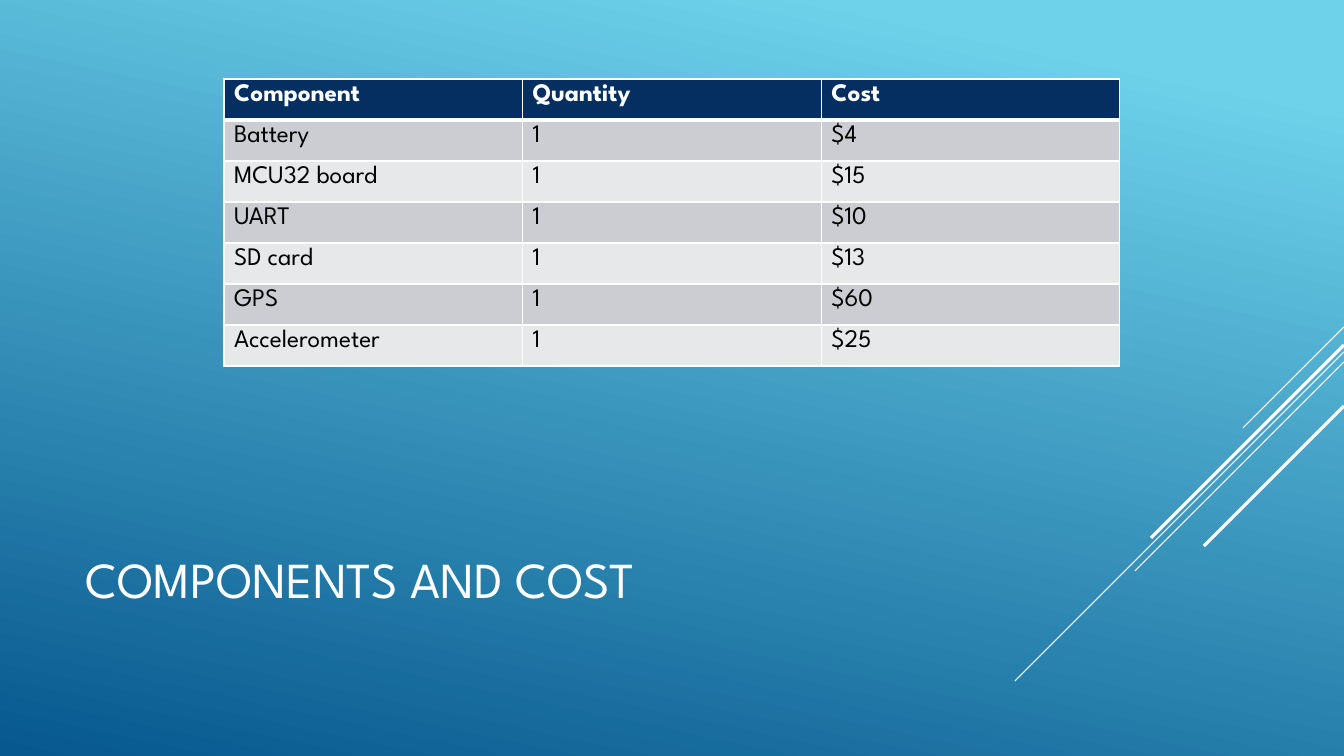
from dataclasses import dataclass

from lxml.etree import SubElement
from pptx import Presentation
from pptx.dml.color import RGBColor
from pptx.enum.shapes import MSO_CONNECTOR as Connector
from pptx.enum.text import MSO_ANCHOR as Anchor
from pptx.oxml import parse_xml
from pptx.oxml.ns import nsdecls, qn
from pptx.util import Pt

SCALE = 12192000 / 1344


@dataclass(frozen=True)
class Theme:
    """Colours, font and sizes of the slide."""
    font: str = "League Spartan"
    title_size: int = 36
    table_size: int = 18
    light: str = "FFFFFF"
    dark: str = "000000"
    header: str = "052F61"
    bands: tuple = ("CCCDD2", "E7E8EA")
    gradient: tuple = ((0.1, "6ED2EB"), (1, "06588E"))
    gradient_angle: int = 258
    thin: float = 0.75
    thick: float = 2.25
    border: int = 1
    header_border: int = 3


THEME = Theme()
COMPONENTS = [
    ("Component", "Quantity", "Cost"),
    ("Battery", "1", "$4"),
    ("MCU32 board", "1", "$15"),
    ("UART", "1", "$10"),
    ("SD card", "1", "$13"),
    ("GPS", "1", "$60"),
    ("Accelerometer", "1", "$25"),
]
STRIPES = [
    (0, 101, THEME.thin),
    (25, 329, THEME.thin),
    (35, 209, THEME.thin),
    (18, 193, THEME.thick),
    (79, 140, THEME.thick),
]


def emu(*pixels):
    """Turn pixel lengths into EMU."""
    return [round(pixel * SCALE) for pixel in pixels]


def write_text(frame, text, *, size, color, bold=False):
    """Write one formatted run into a text frame."""
    run = frame.paragraphs[0].add_run()
    run.text = text
    run.font.name = THEME.font
    run.font.size = Pt(size)
    run.font.bold = bold
    run.font.color.rgb = RGBColor.from_string(color)


def set_borders(cell, **widths):
    """Give a cell its four borders, with widths in points by side."""
    properties = cell._tc.get_or_add_tcPr()
    for index, side in enumerate("LRTB"):
        width = Pt(widths.get(side, THEME.border))
        properties.insert(index, parse_xml(
            f'<a:ln{side} {nsdecls("a")} w="{width}"><a:solidFill>'
            f'<a:srgbClr val="{THEME.light}"/></a:solidFill></a:ln{side}>'))


def paint_background(slide):
    """Fill the slide background with the theme gradient."""
    fill = slide.background.fill
    fill.gradient()
    fill.gradient_angle = THEME.gradient_angle
    for stop, (position, color) in zip(fill.gradient_stops, THEME.gradient):
        stop.position = position
        stop.color.rgb = RGBColor.from_string(color)


def draw_stripes(slide, right, top):
    """Draw diagonal stripes that descend from the right edge."""
    for offset, reach, width in STRIPES:
        start = top + offset
        line = slide.shapes.add_connector(
            Connector.STRAIGHT, *emu(right, start, right - reach, start + reach))
        line.line.color.rgb = RGBColor.from_string(THEME.light)
        line.line.width = Pt(width)
        SubElement(line._element.spPr, qn("a:effectLst"))


def draw_title(slide, text, left, top, width, height):
    """Place the slide title, centred vertically in its box."""
    frame = slide.shapes.add_textbox(*emu(left, top, width, height)).text_frame
    frame.word_wrap = True
    frame.vertical_anchor = Anchor.MIDDLE
    write_text(frame, text, size=THEME.title_size, color=THEME.light)


def draw_table(slide, rows, left, top, width, height):
    """Place a banded table with a dark header row."""
    table = slide.shapes.add_table(
        len(rows), len(rows[0]), *emu(left, top, width, height)).table
    table.first_row = table.horz_banding = False
    for row_index, row in enumerate(rows):
        is_header = row_index == 0
        fill = THEME.header if is_header else THEME.bands[(row_index - 1) % 2]
        widths = {0: {"B": THEME.header_border},
                  1: {"T": THEME.header_border}}.get(row_index, {})
        for column_index, text in enumerate(row):
            cell = table.cell(row_index, column_index)
            cell.fill.solid()
            cell.fill.fore_color.rgb = RGBColor.from_string(fill)
            set_borders(cell, **widths)
            write_text(cell.text_frame, text, size=THEME.table_size, bold=is_header,
                       color=THEME.light if is_header else THEME.dark)


def main():
    """Build and save the presentation."""
    presentation = Presentation()
    presentation.slide_width, presentation.slide_height = emu(1344, 756)
    slide = presentation.slides.add_slide(presentation.slide_layouts[6])
    paint_background(slide)
    draw_stripes(slide, 1344, 327)
    draw_title(slide, "COMPONENTS AND COST", 76, 495, 940, 166)
    draw_table(slide, COMPONENTS, 224, 79, 896, 287)
    presentation.save("out.pptx")


main()
